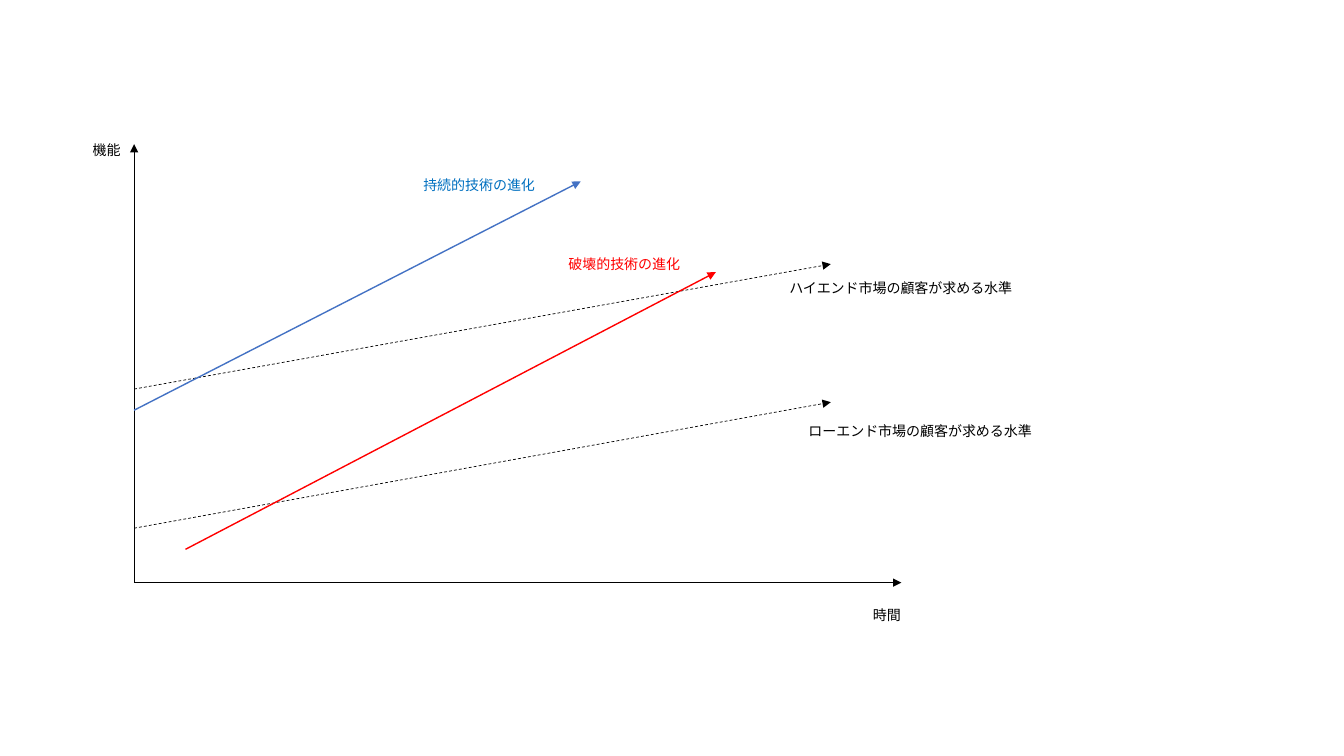
import pptx
import pptx.dml.color
import pptx.enum.dml
import pptx.enum.shapes
import pptx.enum.text
import pptx.oxml.ns
import pptx.util
from lxml import etree

FONT = "Noto Sans CJK JP"
BLACK, BLUE, SKY, RED = "000000", "4472C4", "0070C0", "FF0000"
LABEL_HEIGHT = 6.21  # percent of the chart height

# Points are percentages of the chart box: across from the left, up from the base.
ARROWS = [  # start, end, colour, points, dashed
    ((0, 0), (0, 100), BLACK, 0.5, False),
    ((0, 0), (100, 0), BLACK, 0.5, False),
    ((0, 12.41), (90.8, 41.15), BLACK, 0.5, True),
    ((0, 44.14), (90.8, 72.64), BLACK, 0.5, True),
    ((0, 39.31), (58.21, 91.49), BLUE, 1, False),
    ((6.7, 7.59), (75.82, 70.8), RED, 1, False),
]
LABELS = [  # words, top left corner, width, colour
    ("ハイエンド市場の顧客が求める水準", (84.1, 70.34), 37.71, BLACK),
    ("ローエンド市場の顧客が求める水準", (86.6, 37.7), 37.71, BLACK),
    ("持続的技術の進化", (36.4, 93.79), 27.2, SKY),
    ("破壊的技術の進化", (55.32, 75.63), 27.2, RED),
    ("機能", (-6.7, 101.84), 8.02, BLACK),
    ("時間", (95.01, -4.37), 8.02, BLACK),
]


def rgb(colour):
    """Turn a hex string into a colour."""
    return pptx.dml.color.RGBColor.from_string(colour)


def add_child(parent, tag, **attributes):
    """Append a DrawingML element to its parent."""
    etree.SubElement(parent, pptx.oxml.ns.qn(tag), **attributes)


def add_arrow(slide, start, end, colour, points, dashed):
    """Draw a straight arrow between two slide positions."""
    arrow = slide.shapes.add_connector(
        pptx.enum.shapes.MSO_CONNECTOR.STRAIGHT, *start, *end)
    arrow.line.color.rgb = rgb(colour)
    arrow.line.width = pptx.util.Pt(points)
    if dashed:
        arrow.line.dash_style = pptx.enum.dml.MSO_LINE.DASH
    add_child(arrow.line._get_or_add_ln(), "a:tailEnd", type="triangle")
    add_child(arrow._element.spPr, "a:effectLst")


def add_label(slide, words, corner, size, colour):
    """Write one line of text with its top left at corner."""
    frame = slide.shapes.add_textbox(*corner, *size).text_frame
    frame.word_wrap = True
    frame.auto_size = pptx.enum.text.MSO_AUTO_SIZE.SHAPE_TO_FIT_TEXT
    paragraph = frame.paragraphs[0]
    paragraph.text = words
    font = paragraph.font
    font.size = pptx.util.Pt(10)
    font.color.rgb = rgb(colour)
    font.name = FONT
    add_child(font._element, "a:ea", typeface=FONT)


def draw_technology_chart(slide, left, top, width, height):
    """Place axes, technology paths, demand levels and labels in a box."""
    def position(point):
        across, up = point
        return (int(left + width * across / 100),
                int(top + height * (100 - up) / 100))

    for start, end, *style in ARROWS:
        add_arrow(slide, position(start), position(end), *style)
    for words, corner, share, colour in LABELS:
        size = int(width * share / 100), int(height * LABEL_HEIGHT / 100)
        add_label(slide, words, position(corner), size, colour)


deck = pptx.Presentation()
deck.slide_width = pptx.util.Inches(13.33)
deck.slide_height = pptx.util.Inches(7.5)
innovation_slide = deck.slides.add_slide(deck.slide_layouts[6])
draw_technology_chart(
    innovation_slide,
    *(pptx.util.Inches(length) for length in (1.33, 1.43, 7.61, 4.35)))
deck.save("out.pptx")
